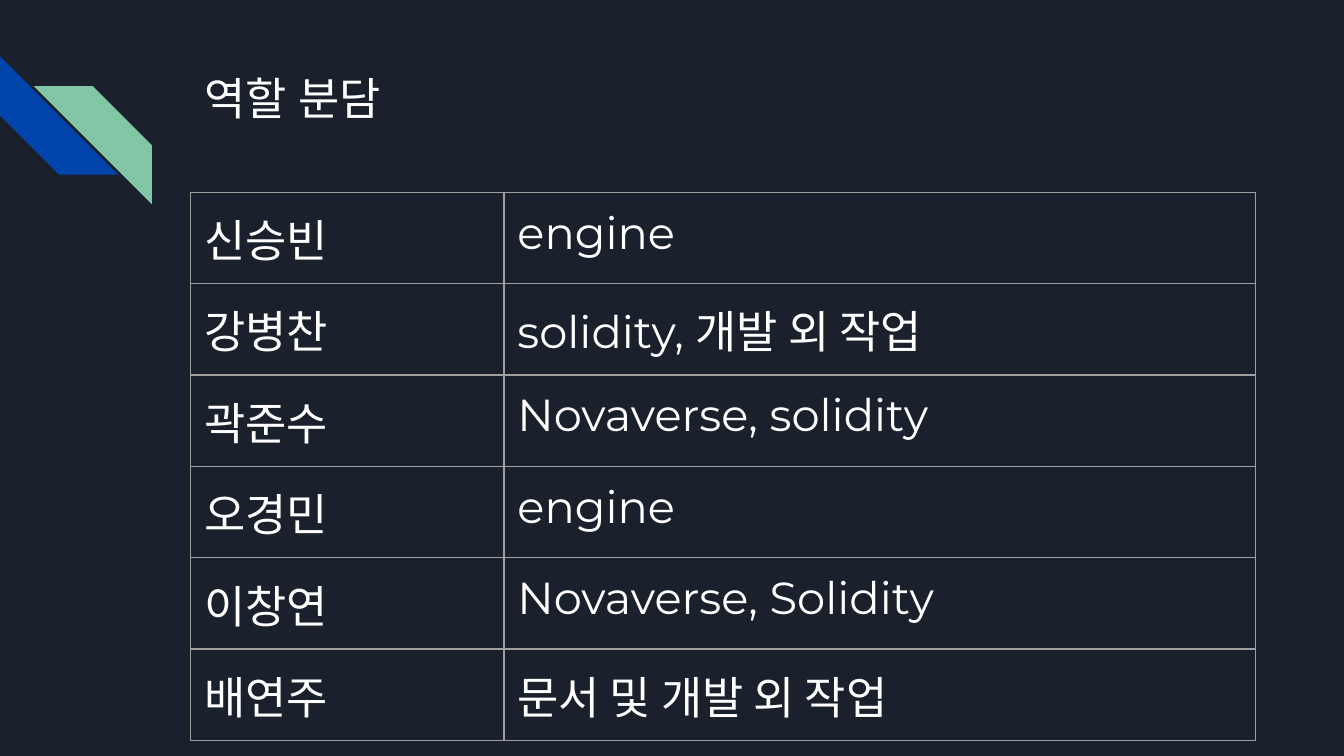
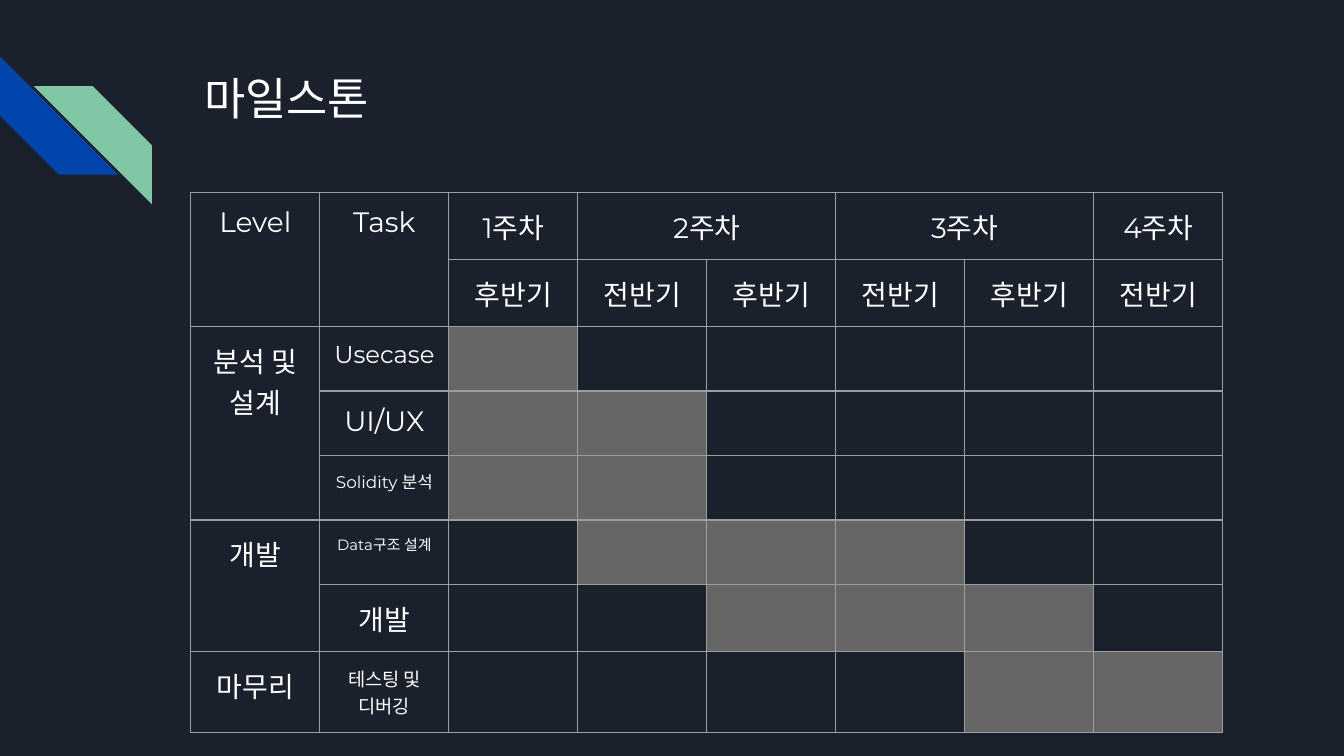
from lxml import etree
from pptx import Presentation
from pptx.dml.color import RGBColor
from pptx.enum import shapes, text
from pptx.oxml import ns
from pptx.util import Inches, Pt

NAVY = RGBColor(0x1B, 0x21, 0x2C)
BLUE = RGBColor(0x01, 0x45, 0xAC)
GREEN = RGBColor(0x82, 0xC7, 0xA5)
WHITE = RGBColor(0xFF, 0xFF, 0xFF)
BUSY = RGBColor(0x66, 0x66, 0x66)
GRID = RGBColor(0x9E, 0x9E, 0x9E)
FONT = "Montserrat"
LEFT, TABLE_TOP = 1.42, 1.43
PADDING = Inches(0.1)


def write(frame, words, size=24, align=text.PP_ALIGN.LEFT, east_asian=None):
    """Put words in a text frame; empty words only set the line height."""
    line = frame.paragraphs[0]
    line.alignment = align
    if not words:
        etree.SubElement(line._p, ns.qn("a:endParaRPr"), sz=str(size * 100))
        return
    run = line.add_run()
    run.text = words
    run.font.size = Pt(size)
    run.font.name = FONT
    run.font.color.rgb = WHITE
    if east_asian:
        etree.SubElement(run.font._element, ns.qn("a:ea"), typeface=east_asian)


def add_grid(slide, widths, heights):
    """Add a table with thin grey borders and unfilled cells."""
    frame = slide.shapes.add_table(
        len(heights), len(widths), Inches(LEFT), Inches(TABLE_TOP),
        Inches(sum(widths)), Inches(sum(heights)))
    table = frame.table
    table.first_row = table.horz_banding = False
    for column, width in zip(table.columns, widths):
        column.width = Inches(width)
    for row, height in zip(table.rows, heights):
        row.height = Inches(height)
    for cell in table.iter_cells():
        cell.margin_left = cell.margin_right = PADDING
        cell.margin_top = cell.margin_bottom = PADDING
        cell.fill.background()
        props = cell._tc.get_or_add_tcPr()
        for place, side in enumerate(("a:lnL", "a:lnR", "a:lnT", "a:lnB")):
            border = etree.Element(ns.qn(side), w=str(Pt(0.75)))
            fill = etree.SubElement(border, ns.qn("a:solidFill"))
            etree.SubElement(fill, ns.qn("a:srgbClr"), val=str(GRID))
            props.insert(place, border)
    return table


deck = Presentation()
deck.slide_width = Inches(10)
deck.slide_height = deck.slide_width * 9 // 16

# Background, stripes and title of both slides
slides = []
for title in ("역할 분담", "마일스톤"):
    slide = deck.slides.add_slide(deck.slide_layouts[6])
    slide.background.fill.solid()
    slide.background.fill.fore_color.rgb = NAVY
    for x, y, color in ((0, 0.42, BLUE), (0.25, 0.64, GREEN)):
        stripe = slide.shapes.add_shape(
            shapes.MSO_SHAPE.DIAGONAL_STRIPE,
            Inches(x), Inches(y), Inches(0.88), Inches(0.88))
        stripe.shadow.inherit = False
        stripe.fill.solid()
        stripe.fill.fore_color.rgb = color
        stripe.line.fill.background()
        if color == BLUE:
            stripe.rotation = 270
        else:
            stripe._element.spPr.xfrm.set("flipH", "1")
    heading = slide.shapes.add_textbox(
        Inches(LEFT), Inches(0.43), Inches(7.7), Inches(1)).text_frame
    heading.word_wrap = True
    heading.margin_left = heading.margin_right = PADDING
    heading.margin_top = heading.margin_bottom = PADDING
    write(heading, title, east_asian=FONT)
    slides.append(slide)
roles_slide, milestone_slide = slides

# Roles
ROLES = [
    ("신승빈", "engine"),
    ("강병찬", "solidity, 개발 외 작업"),
    ("곽준수", "Novaverse, solidity"),
    ("오경민", "engine"),
    ("이창연", "Novaverse, Solidity"),
    ("배연주", "문서 및 개발 외 작업"),
]
roles = add_grid(roles_slide, [2.33, 5.59], [0.68] * len(ROLES))
for row, member in enumerate(ROLES):
    for column, words in enumerate(member):
        write(roles.cell(row, column).text_frame, words)

# Milestones: level, task, task size, first and last busy half-week
TASKS = [
    ("분석 및 설계", "Usecase", 13, 0, 0),
    ("", "UI/UX", 15, 0, 1),
    ("", "Solidity 분석", 9, 0, 1),
    ("개발", "Data구조 설계", 8, 1, 3),
    ("", "개발", 15, 2, 4),
    ("마무리", "테스팅 및 디버깅", 10, 4, 5),
]
HEADER = [
    ["Level", "Task", "1주차", "2주차", "", "3주차", "", "4주차"],
    ["", "", "후반기", "전반기", "후반기", "전반기", "후반기", "전반기"],
]
MERGES = [((0, 0), (1, 0)), ((0, 1), (1, 1)), ((0, 3), (0, 4)),
          ((0, 5), (0, 6)), ((2, 0), (4, 0)), ((5, 0), (6, 0))]
plan = add_grid(milestone_slide, [0.96] * 8,
                [0.5, 0.5] + [0.48] * 4 + [0.5, 0.6])
for first, last in MERGES:
    plan.cell(*first).merge(plan.cell(*last))

center = text.PP_ALIGN.CENTER
for row, labels in enumerate(HEADER):
    for column, words in enumerate(labels):
        write(plan.cell(row, column).text_frame, words, size=15, align=center)
for row, (level, task, size, start, end) in enumerate(TASKS, len(HEADER)):
    write(plan.cell(row, 0).text_frame, level, size=15, align=center)
    write(plan.cell(row, 1).text_frame, task, size=size, align=center)
    for half in range(6):
        cell = plan.cell(row, half + 2)
        write(cell.text_frame, "", size=13)
        if start <= half <= end:
            cell.fill.solid()
            cell.fill.fore_color.rgb = BUSY

deck.save("out.pptx")
